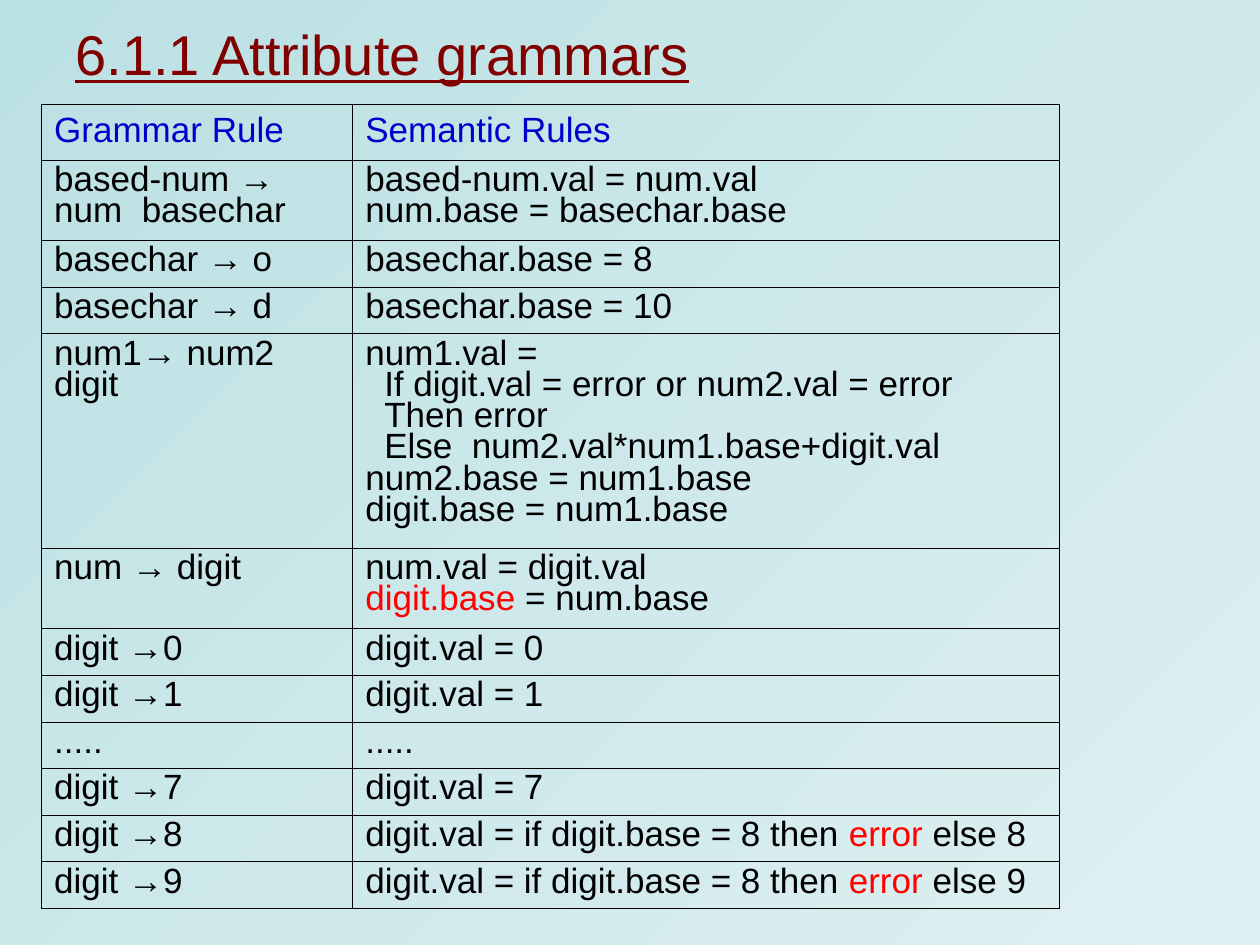
from typing import NamedTuple

from lxml.etree import SubElement
from pptx import Presentation
from pptx.dml.color import RGBColor
from pptx.enum.text import MSO_ANCHOR
from pptx.oxml.ns import qn
from pptx.util import Inches, Pt

MAROON = RGBColor(0x80, 0x00, 0x00)
BLUE = RGBColor(0x00, 0x00, 0xCC)
BLACK = RGBColor(0x00, 0x00, 0x00)
RED = RGBColor(0xFF, 0x00, 0x00)
TEAL = RGBColor(0xBB, 0xE0, 0xE3)
PALE_TEAL = RGBColor(0xDF, 0xF0, 0xF2)

FONT = "Arial"
BORDER_WIDTH = Pt(0.45)
COLUMN_WIDTHS = (2.47, 5.61)


class Line(NamedTuple):
    """One paragraph: text around an optional red part."""
    before: str = ""
    red: str = ""
    after: str = ""
    indent: float = 0


class Rule(NamedTuple):
    """One table row: a grammar rule and its semantic rules."""
    grammar: str
    semantics: list[Line]
    height: float = 0.37


def error_rule(digit: int) -> Rule:
    line = Line("digit.val = if digit.base = 8 then ", "error", f" else {digit}")
    return Rule(f"digit →{digit}", [line])


def digit_rule(digit: int) -> Rule:
    return Rule(f"digit →{digit}", [Line(f"digit.val = {digit}")])


RULES = [
    Rule("based-num → num  basechar",
         [Line("based-num.val = num.val"), Line("num.base = basechar.base")], 0.64),
    Rule("basechar → o", [Line("basechar.base = 8")]),
    Rule("basechar → d", [Line("basechar.base = 10")]),
    Rule("num1→ num2  digit",
         [Line("num1.val ="),
          Line("If digit.val = error or num2.val = error", indent=0.15),
          Line("Then error", indent=0.15),
          Line("Else  num2.val*num1.base+digit.val", indent=0.15),
          Line("num2.base = num1.base"),
          Line("digit.base = num1.base")], 1.7),
    Rule("num → digit",
         [Line("num.val = digit.val"), Line(red="digit.base", after=" = num.base")], 0.64),
    digit_rule(0),
    digit_rule(1),
    Rule(".....", [Line(".....")]),
    digit_rule(7),
    error_rule(8),
    error_rule(9),
]


def write_text(frame, lines: list[Line], *, size: float = 20, color: RGBColor = BLACK,
               underline: bool = False, spacing: float = 1.0) -> None:
    frame.word_wrap = True
    for index, line in enumerate(lines):
        para = frame.add_paragraph() if index else frame.paragraphs[0]
        para.line_spacing = spacing
        if line.indent:
            para._p.get_or_add_pPr().set("marL", str(Inches(line.indent)))
        for text, span_color in ((line.before, color), (line.red, RED), (line.after, color)):
            if text:
                span = para.add_run()
                span.text = text
                span.font.name = FONT
                span.font.size = Pt(size)
                span.font.underline = underline
                span.font.color.rgb = span_color


def format_cell(cell) -> None:
    """Give a cell thin black borders and no fill."""
    properties = cell._tc.get_or_add_tcPr()
    for side in ("a:lnL", "a:lnR", "a:lnT", "a:lnB"):
        border = SubElement(properties, qn(side), w=str(BORDER_WIDTH))
        fill = SubElement(border, qn("a:solidFill"))
        SubElement(fill, qn("a:srgbClr"), val=str(BLACK))
    cell.fill.background()
    cell.vertical_anchor = MSO_ANCHOR.TOP


def paint_background(page) -> None:
    fill = page.background.fill
    fill.gradient()
    fill.gradient_angle = 315
    for stop, color in zip(fill.gradient_stops, (TEAL, PALE_TEAL)):
        stop.color.rgb = color


def add_title(page, text: str) -> None:
    box = page.shapes.add_textbox(Inches(0.5), Inches(0.17), Inches(9.33), Inches(0.5))
    box.text_frame.vertical_anchor = MSO_ANCHOR.MIDDLE
    write_text(box.text_frame, [Line(text)], size=32, color=MAROON, underline=True)


def add_rule_table(page, rules: list[Rule]) -> None:
    header = Rule("Grammar Rule", [Line("Semantic Rules")], 0.44)
    rows = [header, *rules]
    table = page.shapes.add_table(
        len(rows), len(COLUMN_WIDTHS), Inches(0.33), Inches(0.83),
        Inches(sum(COLUMN_WIDTHS)), Inches(sum(rule.height for rule in rows))).table
    table.first_row = False
    table.horz_banding = False
    for column, width in zip(table.columns, COLUMN_WIDTHS):
        column.width = Inches(width)
    for row, rule in zip(table.rows, rows):
        row.height = Inches(rule.height)
        color, spacing = (BLUE, 1.0) if rule is header else (BLACK, 0.8)
        for cell, lines in zip(row.cells, ([Line(rule.grammar)], rule.semantics)):
            format_cell(cell)
            write_text(cell.text_frame, lines, color=color, spacing=spacing)


def main() -> None:
    deck = Presentation()
    deck.slide_width, deck.slide_height = Inches(10), Inches(7.5)
    page = deck.slides.add_slide(deck.slide_layouts[6])
    paint_background(page)
    add_title(page, "6.1.1 Attribute grammars")
    add_rule_table(page, RULES)
    deck.save("out.pptx")


if __name__ == "__main__":
    main()
